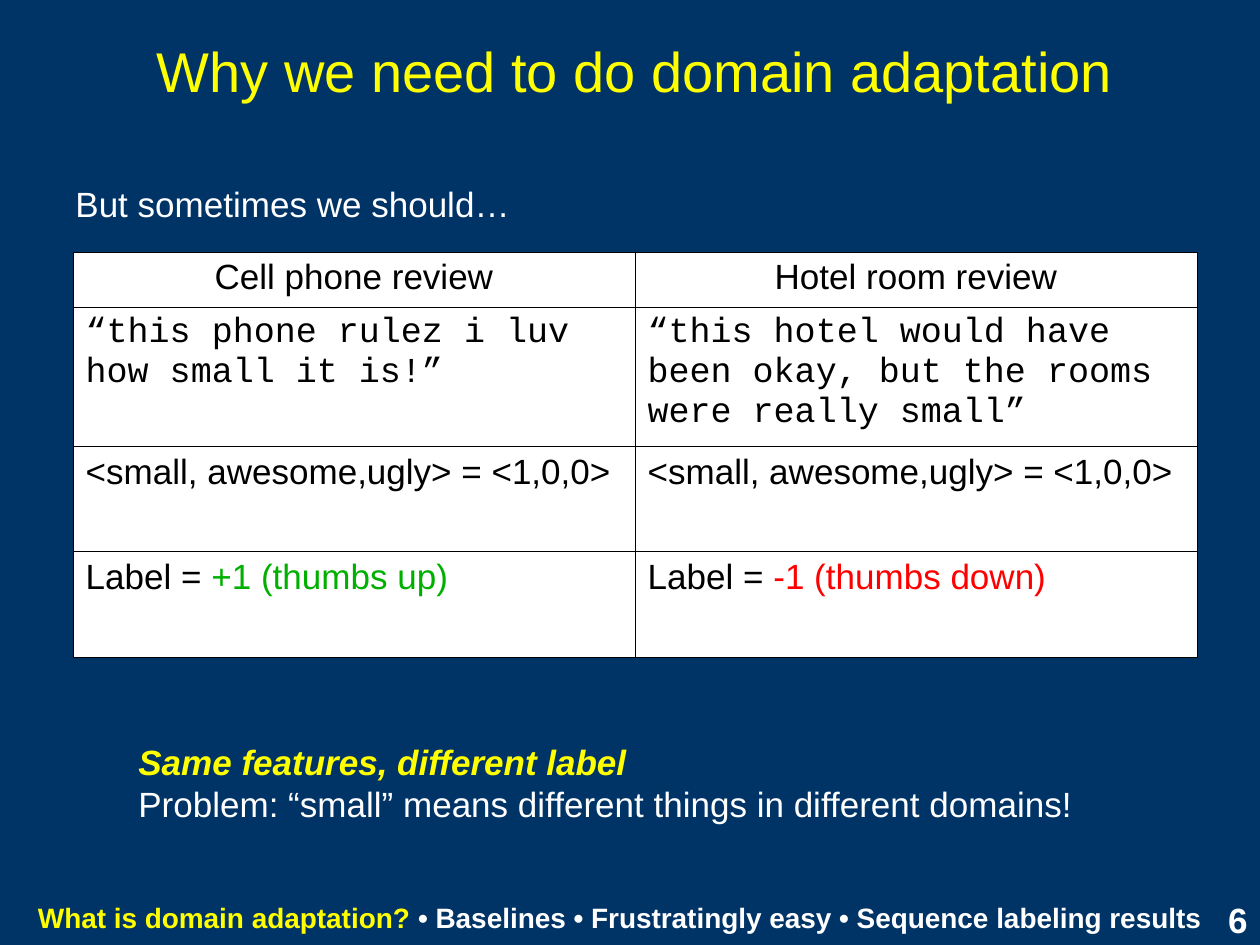
from lxml.etree import SubElement
from pptx import Presentation
from pptx.dml.color import RGBColor
from pptx.enum.text import MSO_ANCHOR as Anchor, MSO_AUTO_SIZE as AutoSize, PP_ALIGN as Align
from pptx.oxml.ns import qn
from pptx.util import Inches, Pt

NAVY, YELLOW, WHITE, BLACK = "003366", "FFFF00", "FFFFFF", "000000"
GREEN, RED = "00B000", "FF0000"


def color(value):
    return RGBColor.from_string(value)


def add_text(paragraph, text, size=20, font="Arial", fill=WHITE,
             bold=False, italic=False, align=Align.LEFT):
    """Append one formatted run to a paragraph."""
    paragraph.alignment = align
    run = paragraph.add_run()
    run.text = text
    run.font.size = Pt(size)
    run.font.name = font
    run.font.color.rgb = color(fill)
    run.font.bold = bold
    run.font.italic = italic


class SlideBuilder:
    """Holds the slide and its style, with one method per kind of element."""

    border_width = Pt(0.45)

    def __init__(self, presentation, background):
        self.slide = presentation.slides.add_slide(presentation.slide_layouts[5])
        self.slide.background.fill.solid()
        self.slide.background.fill.fore_color.rgb = color(background)

    def title(self, text, left, top, width, height):
        shape = self.slide.shapes.title
        shape.left, shape.top = Inches(left), Inches(top)
        shape.width, shape.height = Inches(width), Inches(height)
        frame = shape.text_frame
        frame.vertical_anchor = Anchor.MIDDLE
        frame.auto_size = AutoSize.NONE
        add_text(frame.paragraphs[0], text, size=32, fill=YELLOW, align=Align.CENTER)

    def text_box(self, lines, left, top, width, height, wrap=True):
        """Each line is a list of (text, format) runs."""
        shape = self.slide.shapes.add_textbox(
            Inches(left), Inches(top), Inches(width), Inches(height))
        frame = shape.text_frame
        frame.word_wrap = wrap
        for index, runs in enumerate(lines):
            paragraph = frame.add_paragraph() if index else frame.paragraphs[0]
            for text, style in runs:
                add_text(paragraph, text, **style)

    def table(self, rows, left, top, column_width, row_heights):
        columns = len(rows[0])
        table = self.slide.shapes.add_table(
            len(rows), columns, Inches(left), Inches(top),
            Inches(column_width * columns), Inches(sum(row_heights))).table
        for column in table.columns:
            column.width = Inches(column_width)
        for row, height, cells in zip(table.rows, row_heights, rows):
            row.height = Inches(height)
            for cell, runs in zip(row.cells, cells):
                self.format_cell(cell)
                for text, style in runs:
                    add_text(cell.text_frame.paragraphs[0], text, **{"fill": BLACK, **style})

    def format_cell(self, cell):
        # Borders come before the fill in the cell properties
        properties = cell._tc.get_or_add_tcPr()
        for side in ("lnL", "lnR", "lnT", "lnB"):
            line = SubElement(properties, qn(f"a:{side}"), w=str(self.border_width))
            SubElement(SubElement(line, qn("a:solidFill")), qn("a:srgbClr"), val=BLACK)
        cell.fill.solid()
        cell.fill.fore_color.rgb = color(WHITE)


def main():
    presentation = Presentation()
    presentation.slide_width, presentation.slide_height = Inches(10), Inches(7.5)
    builder = SlideBuilder(presentation, NAVY)

    # Heading
    builder.title("Why we need to do domain adaptation", 0.58, 0.17, 8.92, 0.78)

    # Review comparison
    header, quote = {"align": Align.CENTER}, {"font": "Courier New"}
    features = [("<small, awesome,ugly> = <1,0,0>", {})]
    builder.table([
        [[("Cell phone review", header)], [("Hotel room review", header)]],
        [[("“this phone rulez i luv how small it is!”", quote)],
         [("“this hotel would have been okay, but the rooms were really small”", quote)]],
        [features, features],
        [[("Label = ", {}), ("+1 (thumbs up)", {"fill": GREEN})],
         [("Label = ", {}), ("-1 (thumbs down)", {"fill": RED})]],
    ], 0.58, 2, 4.46, [0.44, 1.1, 0.84, 0.84])

    # Conclusion
    builder.text_box([
        [("Same features, different label", {"fill": YELLOW, "bold": True, "italic": True})],
        [("Problem: “small” means different things in different domains!", {})],
    ], 1, 5.83, 7.83, 0.77)

    # Agenda footer
    agenda = {"size": 16, "bold": True, "align": Align.CENTER}
    builder.text_box([[
        ("What is domain adaptation?", {**agenda, "fill": YELLOW}),
        (" • Baselines • Frustratingly easy • Sequence labeling results", agenda),
    ]], 0.17, 7.1, 9.5, 0.37)

    # Lead-in and page number
    builder.text_box([[("But sometimes we should…", {})]], 0.5, 1.4, 3.65, 0.44, wrap=False)
    builder.text_box([[("6", {"bold": True, "align": Align.RIGHT})]], 9.42, 7.08, 0.58, 0.42)

    presentation.save("out.pptx")


if __name__ == "__main__":
    main()
